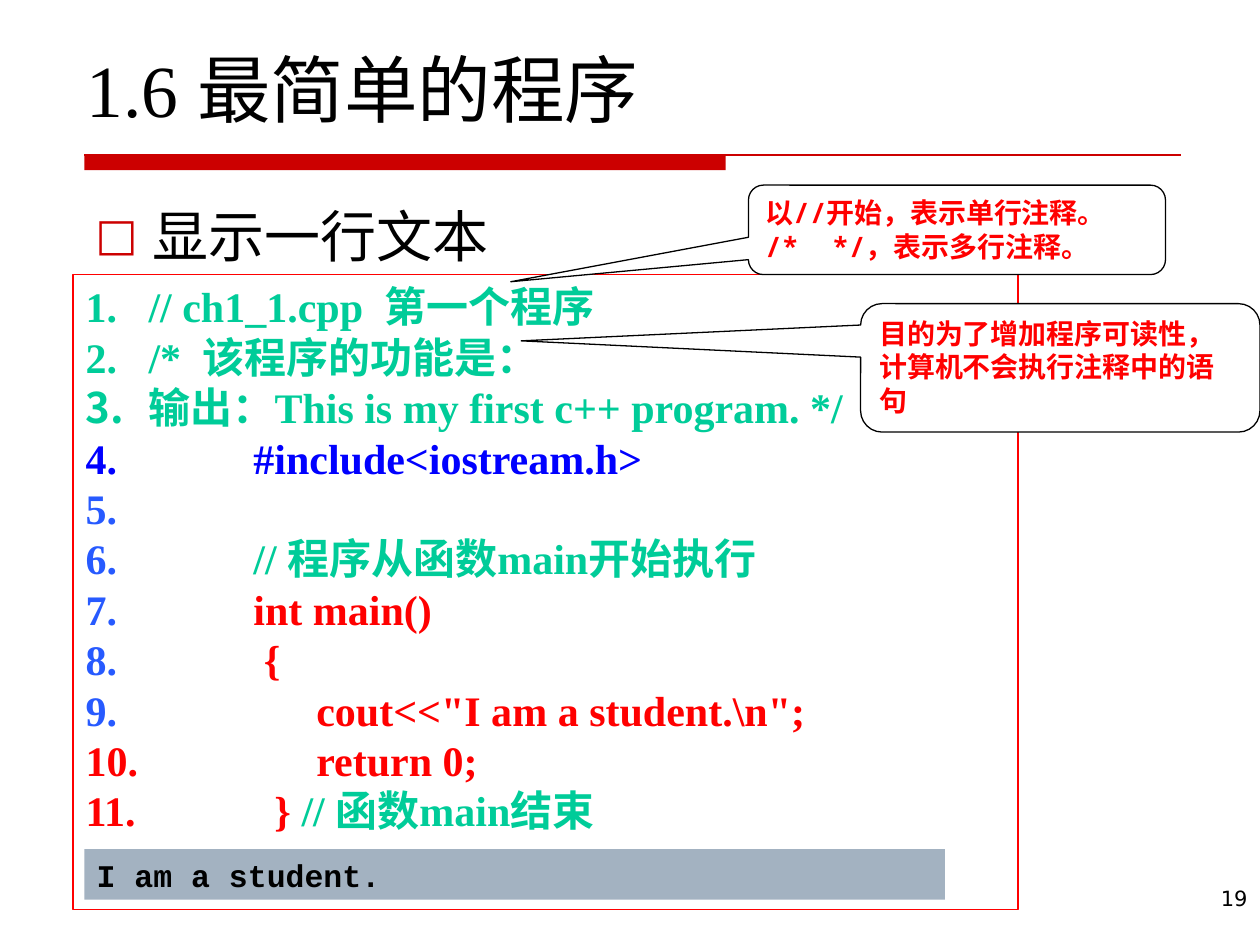
from lxml import etree
from pptx import Presentation
from pptx.dml.color import RGBColor
from pptx.enum.shapes import MSO_CONNECTOR, MSO_SHAPE
from pptx.enum.text import MSO_ANCHOR, PP_ALIGN
from pptx.oxml.ns import qn
from pptx.util import Pt

RECTANGLE = MSO_SHAPE.RECTANGLE
CALLOUT = MSO_SHAPE.ROUNDED_RECTANGULAR_CALLOUT
STRAIGHT = MSO_CONNECTOR.STRAIGHT
TOP, MIDDLE, BOTTOM = MSO_ANCHOR.TOP, MSO_ANCHOR.MIDDLE, MSO_ANCHOR.BOTTOM
LEFT, RIGHT = PP_ALIGN.LEFT, PP_ALIGN.RIGHT

BLACK = RGBColor(0x00, 0x00, 0x00)
WHITE = RGBColor(0xFF, 0xFF, 0xFF)
RED = RGBColor(0xFF, 0x00, 0x00)
DARK_RED = RGBColor(0xCC, 0x00, 0x00)
GREEN = RGBColor(0x00, 0xCC, 0x99)
BLUE = RGBColor(0x00, 0x00, 0xFF)
LIGHT_BLUE = RGBColor(0x27, 0x5A, 0xFF)
GREY = RGBColor(0xA3, 0xB2, 0xC1)

TITLE_FORMAT = {"name": "Times New Roman", "size": Pt(42)}
TOPIC_FORMAT = {"name": "Times New Roman", "size": Pt(32)}
CODE_FORMAT = {"name": "Times New Roman", "size": Pt(24), "bold": True}
OUTPUT_FORMAT = {"name": "Courier New", "size": Pt(18), "bold": True}
NOTE_FORMAT = {"name": "Noto Sans Mono", "size": Pt(16), "bold": True}
NUMBER_FORMAT = {"name": "DejaVu Sans", "size": Pt(12)}

CODE_LINES = [
    (GREEN, [("// ch1_1.cpp  第一个程序", GREEN)]),
    (GREEN, [("/*  该程序的功能是：", GREEN)]),
    (GREEN, [("输出：This is my first c++ program. */", GREEN)]),
    (BLUE, [("          #include<iostream.h>", BLUE)]),
    (LIGHT_BLUE, [("    ", LIGHT_BLUE)]),
    (LIGHT_BLUE, [("          // 程序从函数main开始执行", GREEN)]),
    (LIGHT_BLUE, [("          int main()", RED)]),
    (LIGHT_BLUE, [("           {", RED)]),
    (LIGHT_BLUE, [('                cout<<"I am a student.\\n";', RED)]),
    (RED, [("                return 0;", RED)]),
    (RED, [("            } ", RED), ("// 函数main结束", GREEN)]),
]

NOTES = [
    ((427.7, 105.8, 238.3, 51.1), (-1.07, 0.58),
     ["以//开始，表示单行注释。", "/*  */，表示多行注释。"]),
    ((491.8, 173.5, 228.2, 73.4), (-1.35, -0.21),
     ["目的为了增加程序可读性，计算机不会执行注释中的语句"]),
]


def in_points(box):
    """Turn the numbers of a box into lengths."""
    return [Pt(value) for value in box]


def add_span(para, text, formats, color):
    """Append a formatted run to a paragraph."""
    span = para.add_run()
    span.text = text
    for name, value in formats.items():
        setattr(span.font, name, value)
    span.font.color.rgb = color


def add_bullet(para, color, hanging, indent, tag, **attributes):
    """Give a paragraph a coloured bullet or number with a hanging indent."""
    props = para._p.get_or_add_pPr()
    props.set("marL", str(Pt(indent)))
    props.set("indent", str(-Pt(hanging)))
    fill = etree.SubElement(props, qn("a:buClr"))
    etree.SubElement(fill, qn("a:srgbClr"), val=str(color))
    if tag == "a:buChar":
        etree.SubElement(props, qn("a:buSzPct"), val="80000")
        etree.SubElement(props, qn("a:buFont"), typeface="DejaVu Sans")
    etree.SubElement(props, qn(tag), **attributes)


def prepare_frame(shape, anchor=TOP):
    """Make a shape's text wrap and return its frame."""
    frame = shape.text_frame
    frame.word_wrap = True
    frame.vertical_anchor = anchor
    return frame


def add_paragraphs(frame, texts, formats, color, align=LEFT):
    """Fill a frame with one paragraph for each text."""
    for index, text in enumerate(texts):
        para = frame.add_paragraph() if index else frame.paragraphs[0]
        para.alignment = align
        add_span(para, text, formats, color)


def add_text(page, box, text, formats, color=BLACK, anchor=TOP, align=LEFT):
    """Place a text box and return its paragraph."""
    frame = prepare_frame(page.shapes.add_textbox(*in_points(box)), anchor)
    add_paragraphs(frame, [text], formats, color, align)
    return frame.paragraphs[0]


def add_panel(page, kind, box, fill, line=None):
    """Place a filled shape with an optional outline."""
    panel = page.shapes.add_shape(kind, *in_points(box))
    panel.shadow.inherit = False
    panel.fill.solid()
    panel.fill.fore_color.rgb = fill
    if line is None:
        panel.line.fill.background()
    else:
        panel.line.color.rgb = line
        panel.line.width = Pt(0.75)
    return panel


def add_title_rule(page, box):
    """Draw a thin rule with a thick bar under its left part."""
    left, top, width, height = box
    add_panel(page, RECTANGLE, (left, top, width * 0.585, height), DARK_RED)
    rule = page.shapes.add_connector(
        STRAIGHT, *in_points((left, top, left + width, top)))
    rule.line.color.rgb = DARK_RED
    rule.line.width = Pt(0.75)
    etree.SubElement(rule._element.spPr, qn("a:effectLst"))


def add_topic(page, box):
    """Place the bulleted topic line."""
    para = add_text(page, box, "显示一行文本", TOPIC_FORMAT)
    add_bullet(para, DARK_RED, 32.4, 43.2, "a:buChar", char="□")


def add_code(page, box):
    """Place the framed listing with numbered lines."""
    frame = prepare_frame(add_panel(page, RECTANGLE, box, WHITE, RED))
    for index, (number_color, spans) in enumerate(CODE_LINES):
        para = frame.add_paragraph() if index else frame.paragraphs[0]
        add_bullet(para, number_color, 36, 36, "a:buAutoNum", type="arabicPeriod")
        para.alignment = LEFT
        para.line_spacing = Pt(28.8)
        for text, color in spans:
            add_span(para, text, CODE_FORMAT, color)


def add_output(page, box):
    """Place the bar with the program's output."""
    frame = prepare_frame(add_panel(page, RECTANGLE, box, GREY), MIDDLE)
    add_paragraphs(frame, ["I am a student."], OUTPUT_FORMAT, BLACK)


def add_note(page, box, tip, texts):
    """Place a callout whose tip is given relative to its size."""
    callout = add_panel(page, CALLOUT, box, WHITE, BLACK)
    callout.adjustments[0], callout.adjustments[1] = tip
    add_paragraphs(prepare_frame(callout), texts, NOTE_FORMAT, RED)


def main():
    """Build the slide and save it."""
    deck = Presentation()
    deck.slide_width, deck.slide_height = Pt(720), Pt(540)
    page = deck.slides.add_slide(deck.slide_layouts[6])
    add_title_rule(page, (48.2, 88.6, 626.4, 8.6))
    add_text(page, (565.9, 502.6, 154.1, 37.4), "19", NUMBER_FORMAT, align=RIGHT)
    add_text(page, (42.5, 25.9, 630, 53.3), "1.6 最简单的程序", TITLE_FORMAT, anchor=BOTTOM)
    add_topic(page, (36.7, 111.6, 648, 45))
    add_code(page, (41.8, 157, 540, 362.9))
    add_output(page, (48.2, 485.3, 491.8, 28.8))
    for box, tip, texts in NOTES:
        add_note(page, box, tip, texts)
    deck.save("out.pptx")


if __name__ == "__main__":
    main()
